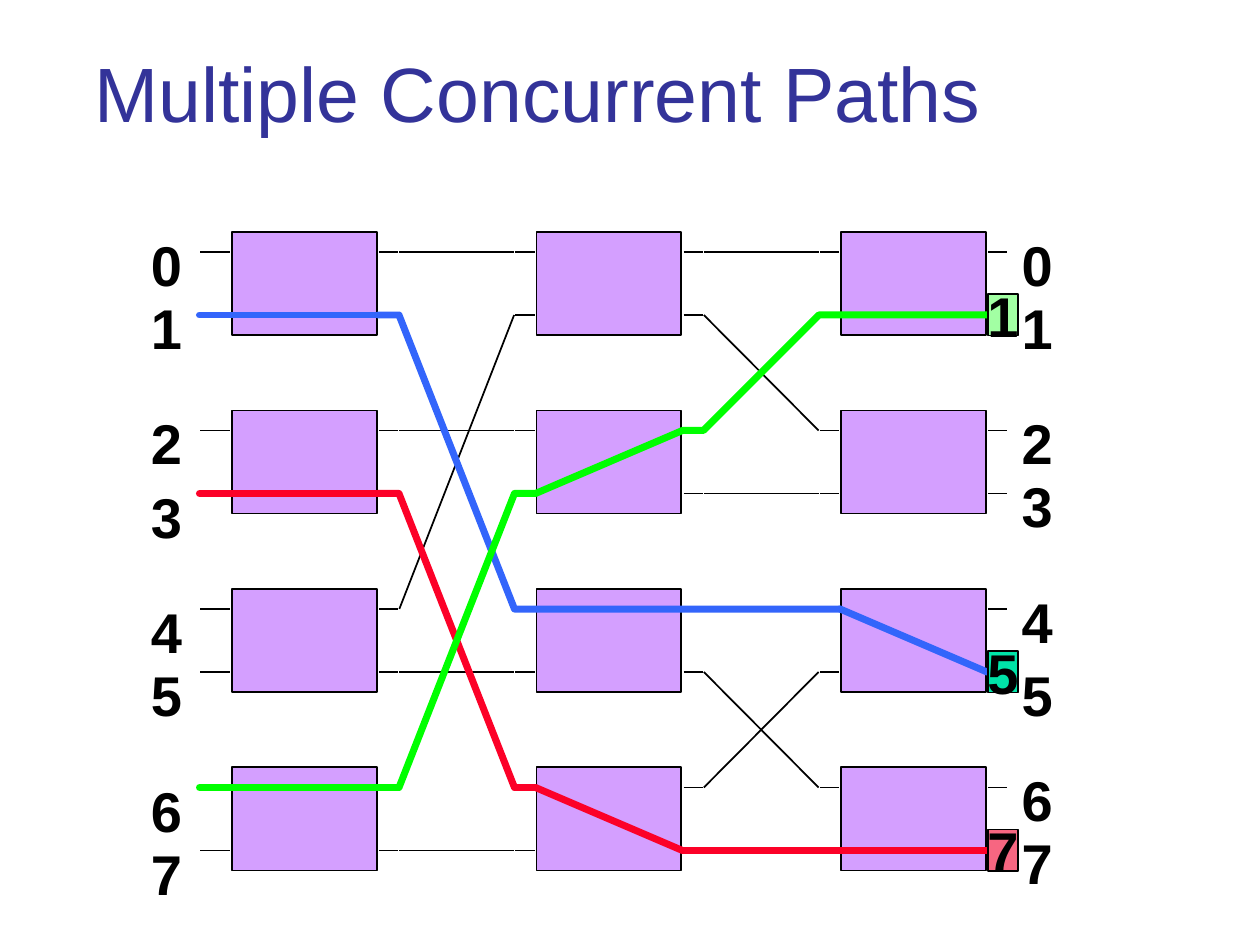
from dataclasses import dataclass

import pptx
import pptx.dml.color
import pptx.enum.shapes
import pptx.enum.text
import pptx.oxml
import pptx.oxml.ns
import pptx.util

Pt = pptx.util.Pt


@dataclass(frozen=True)
class Theme:
    font: str = "Arial"
    title_size: float = 44
    label_size: float = 32
    thin: float = 1
    thick: float = 4
    title: str = "333399"
    ink: str = "000000"
    switch: str = "D49FFF"
    red: str = "FC0128"
    blue: str = "3365FB"
    green: str = "00FF00"
    red_badge: str = "F76681"
    blue_badge: str = "00E4A8"
    green_badge: str = "A2FFA3"


THEME = Theme()
PORTS = 8
STAGES = 3
STAGE_LEFT, STAGE_PITCH = 132.5, 174
SWITCH_WIDTH, SWITCH_HEIGHT = 82.8, 59
STUB = 11
LINK_START, LINK_END = 95.7, 161.3
LABEL_WIDTH, LABEL_HEIGHT = 32.2, 45.4
LINKS = [
    [0, 4, 2, 6, 1, 5, 3, 7],
    [0, 2, 1, 3, 4, 6, 5, 7],
]
LABEL_COLUMNS = [
    (79.2, {3, 4, 5, 6, 7}),
    (576.7, {5}),
]
ROUTES = [
    (THEME.red, THEME.red_badge, 7, [
        [(114, 3), (216, 3)],
        [(216, 3), (228, 3), (294, 6), (306, 6)],
        [(306, 6), (390, 7)],
        [(390, 7), (576, 7)],
    ]),
    (THEME.blue, THEME.blue_badge, 5, [
        [(114, 1), (216, 1)],
        [(216, 1), (228, 1), (294, 4), (480, 4)],
        [(480, 4), (564, 5), (576, 5)],
    ]),
    (THEME.green, THEME.green_badge, 1, [
        [(114, 6), (228, 6), (294, 3), (306, 3)],
        [(306, 3), (390, 2)],
        [(390, 2), (402, 2), (468, 1), (576, 1)],
    ]),
]


def rgb(color):
    return pptx.dml.color.RGBColor.from_string(color)


def wire_y(port):
    return 144 + 102 * (port // 2) + 36 * (port % 2)


def add_run(paragraph, text, size, color, bold=False):
    run = paragraph.add_run()
    run.text = text
    run.font.name = THEME.font
    run.font.size = Pt(size)
    run.font.bold = bold
    run.font.color.rgb = rgb(color)


def style_line(shape, color, width):
    shape.line.color.rgb = rgb(color)
    shape.line.width = Pt(width)


def round_line(shape):
    line = shape.line._get_or_add_ln()
    line.set("cap", "rnd")
    line.append(pptx.oxml.parse_xml(f"<a:round {pptx.oxml.ns.nsdecls('a')}/>"))


def add_line(slide, start, end, color=THEME.ink, width=THEME.thin):
    connector = slide.shapes.add_connector(
        pptx.enum.shapes.MSO_CONNECTOR.STRAIGHT,
        Pt(start[0]), Pt(start[1]), Pt(end[0]), Pt(end[1]))
    style_line(connector, color, width)
    properties = connector._element.spPr
    properties.append(pptx.oxml.parse_xml(f"<a:effectLst {pptx.oxml.ns.nsdecls('a')}/>"))
    return connector


def add_polyline(slide, points, color):
    corners = [(Pt(x), Pt(y)) for x, y in points]
    builder = slide.shapes.build_freeform(*corners[0])
    builder.add_line_segments(corners[1:], close=False)
    shape = builder.convert_to_shape()
    shape.shadow.inherit = False
    shape.fill.background()
    style_line(shape, color, THEME.thick)
    return shape


def add_box(slide, left, top, width, height, color):
    shape = slide.shapes.add_shape(
        pptx.enum.shapes.MSO_SHAPE.RECTANGLE, Pt(left), Pt(top), Pt(width), Pt(height))
    shape.shadow.inherit = False
    shape.fill.solid()
    shape.fill.fore_color.rgb = rgb(color)
    style_line(shape, THEME.ink, THEME.thin)
    return shape


def add_title(slide, text):
    title = slide.shapes.title
    title.left, title.top, title.width, title.height = Pt(46.8), Pt(18), Pt(612), Pt(90)
    frame = title.text_frame
    frame.vertical_anchor = pptx.enum.text.MSO_ANCHOR.TOP
    frame.margin_top = Pt(8)
    paragraph = frame.paragraphs[0]
    paragraph.alignment = pptx.enum.text.PP_ALIGN.LEFT
    add_run(paragraph, text, THEME.title_size, THEME.title)


def add_label(slide, left, top, text):
    box = slide.shapes.add_textbox(Pt(left), Pt(top), Pt(LABEL_WIDTH), Pt(LABEL_HEIGHT))
    frame = box.text_frame
    frame.word_wrap = False
    frame.auto_size = pptx.enum.text.MSO_AUTO_SIZE.SHAPE_TO_FIT_TEXT
    add_run(frame.paragraphs[0], text, THEME.label_size, THEME.ink, bold=True)


def add_badge(slide, port, color):
    badge = add_box(slide, 564.5, wire_y(port) - 12, 17.3, 23.8, color)
    frame = badge.text_frame
    frame.word_wrap = False
    frame.vertical_anchor = pptx.enum.text.MSO_ANCHOR.MIDDLE
    paragraph = frame.paragraphs[0]
    paragraph.alignment = pptx.enum.text.PP_ALIGN.CENTER
    add_run(paragraph, str(port), THEME.label_size, THEME.ink, bold=True)


def add_stage(slide, stage):
    left = STAGE_LEFT + stage * STAGE_PITCH
    for port in range(0, PORTS, 2):
        add_box(slide, left, wire_y(port) - 11.5, SWITCH_WIDTH, SWITCH_HEIGHT, THEME.switch)
    entry_length = STUB if stage else 17
    exit_left = left + SWITCH_WIDTH + 1.3
    for port in range(PORTS):
        y = wire_y(port)
        add_line(slide, (left - 1 - entry_length, y), (left - 1, y))
        add_line(slide, (exit_left, y), (exit_left + STUB, y))


def add_links(slide, stage, targets):
    left = STAGE_LEFT + stage * STAGE_PITCH
    for source, target in enumerate(targets):
        add_line(slide, (left + LINK_START, wire_y(source)), (left + LINK_END, wire_y(target)))


def add_route(slide, color, pieces):
    for piece in pieces:
        points = [(x, wire_y(port)) for x, port in piece]
        if len(points) == 2:
            shape = add_line(slide, *points, color, THEME.thick)
        else:
            shape = add_polyline(slide, points, color)
        round_line(shape)


def main():
    presentation = pptx.Presentation()
    presentation.slide_width, presentation.slide_height = Pt(720), Pt(540)
    slide = presentation.slides.add_slide(presentation.slide_layouts[5])
    add_title(slide, "Multiple Concurrent Paths")
    for stage in range(STAGES):
        add_stage(slide, stage)
    for left, lowered in LABEL_COLUMNS:
        for port in range(PORTS):
            add_label(slide, left, wire_y(port) - 16 + 6 * (port in lowered), str(port))
    for stage, targets in enumerate(LINKS):
        add_links(slide, stage, targets)
    for color, badge_color, port, pieces in ROUTES:
        add_route(slide, color, pieces)
        add_badge(slide, port, badge_color)
    presentation.save("out.pptx")


if __name__ == "__main__":
    main()
